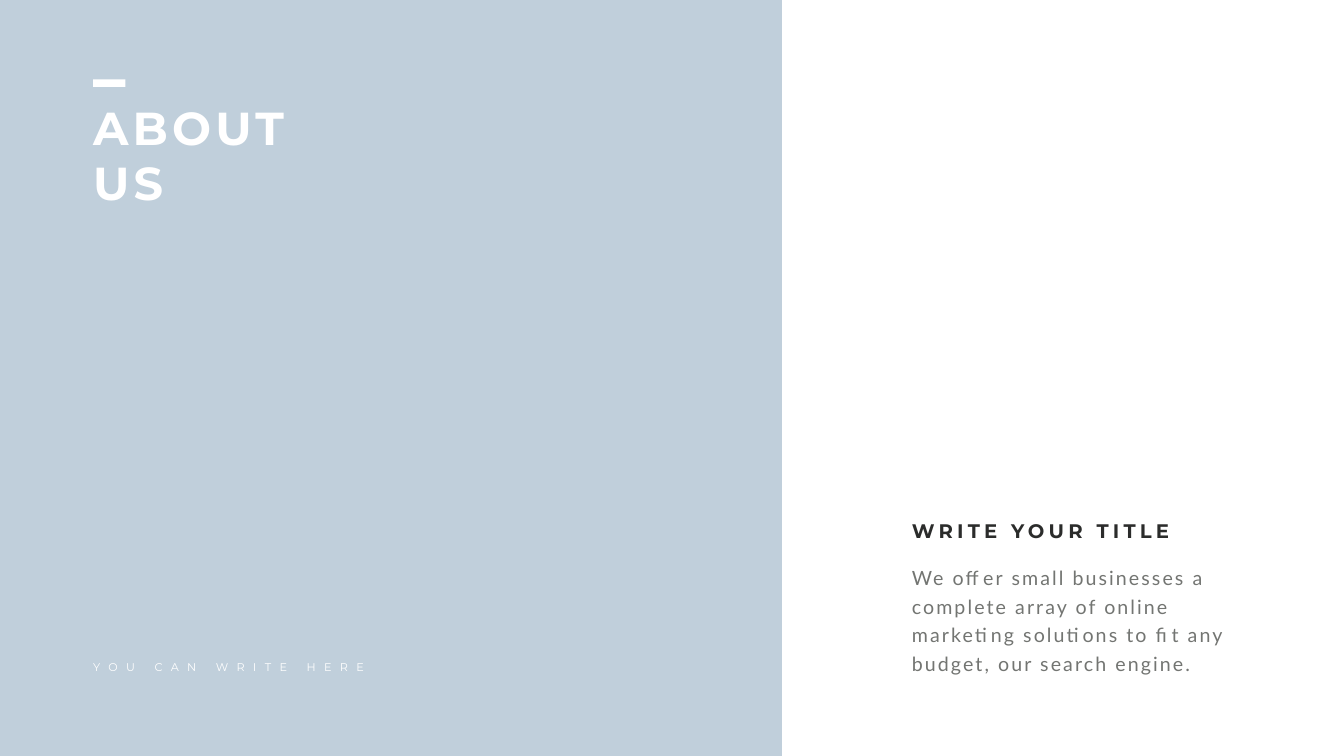
from dataclasses import dataclass

from lxml import etree
from pptx import Presentation
from pptx.dml.color import RGBColor
from pptx.enum import shapes, text
from pptx.oxml import ns
from pptx.util import Pt


@dataclass(frozen=True)
class Theme:
    panel: str = "B1C4D2"
    panel_alpha: int = 80
    white: str = "FFFFFF"
    dark: str = "2B2C2B"
    grey: str = "737572"
    display: str = "Montserrat"
    reading: str = "Lato"
    title_size: int = 66
    body_size: int = 28
    caption_size: int = 16


THEME = Theme()
PAGE_WIDTH, PAGE_HEIGHT = 1919.52, 1080
PANEL_WIDTH = 1116.72
LEFT_MARGIN, RIGHT_MARGIN = 126, 1295.28

PANELS = [
    {"at": (0, 0, PANEL_WIDTH, PAGE_HEIGHT), "color": THEME.panel, "alpha": THEME.panel_alpha},
    {"at": (LEFT_MARGIN + 7, 113.4, 46, 10.8), "color": THEME.white},
]

TEXTS = [
    {"at": (LEFT_MARGIN, 138.24, 379.44, 167.04), "lines": ["ABOUT", "US"],
     "font": THEME.display, "size": THEME.title_size, "color": THEME.white,
     "bold": True, "tracking": 6},
    {"at": (RIGHT_MARGIN, 797.76, 462.96, 168.48),
     "lines": ["We offer small businesses a complete array of online marketing "
               "solutions to fit any budget, our search engine."],
     "font": THEME.reading, "size": THEME.body_size, "color": THEME.grey,
     "tracking": 3, "line_spacing": 40.8},
    {"at": (RIGHT_MARGIN, 737.28, 411.84, 41.04), "lines": ["WRITE YOUR TITLE"],
     "font": THEME.display, "size": THEME.body_size, "color": THEME.dark,
     "bold": True, "tracking": 6},
    {"at": (LEFT_MARGIN, 939.6, 416.16, 26.64), "lines": ["YOU CAN WRITE HERE"],
     "font": THEME.display, "size": THEME.caption_size, "color": THEME.white,
     "tracking": 12, "wrap": False},
]


def add_panel(page, at, color, alpha=100):
    panel = page.shapes.add_shape(shapes.MSO_SHAPE.RECTANGLE, *map(Pt, at))
    panel.shadow.inherit = False
    panel.line.fill.background()
    panel.fill.solid()
    panel.fill.fore_color.rgb = RGBColor.from_string(color)
    if alpha < 100:
        tint = panel.fill._xPr.find(".//" + ns.qn("a:srgbClr"))
        etree.SubElement(tint, ns.qn("a:alpha")).set("val", str(alpha * 1000))


def add_text(page, at, lines, font, size, color, tracking,
             bold=False, line_spacing=None, wrap=True):
    box = page.shapes.add_textbox(*map(Pt, at))
    frame = box.text_frame
    frame.word_wrap = wrap
    frame.auto_size = text.MSO_AUTO_SIZE.SHAPE_TO_FIT_TEXT
    frame.text = "\n".join(lines)
    for para in frame.paragraphs:
        if line_spacing:
            para.line_spacing = Pt(line_spacing)
        for span in para.runs:
            span.font.name = font
            span.font.size = Pt(size)
            span.font.bold = bold
            span.font.color.rgb = RGBColor.from_string(color)
            span.font._element.set("spc", str(tracking * 100))


def main():
    deck = Presentation()
    deck.slide_width, deck.slide_height = Pt(PAGE_WIDTH), Pt(PAGE_HEIGHT)
    page = deck.slides.add_slide(deck.slide_layouts[6])
    for panel in PANELS:
        add_panel(page, **panel)
    for item in TEXTS:
        add_text(page, **item)
    deck.save("out.pptx")


if __name__ == "__main__":
    main()
